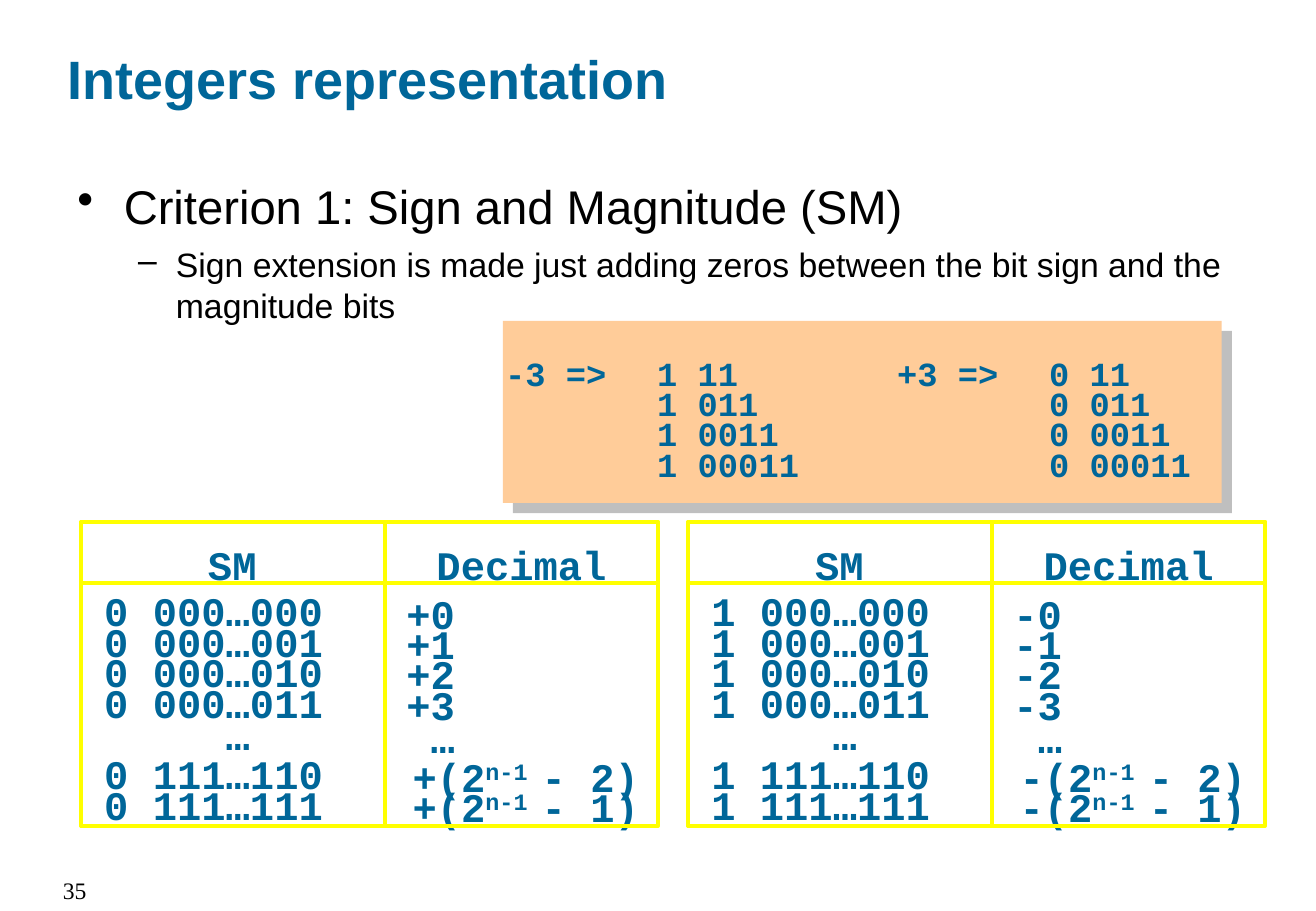
import pptx
import pptx.util
import pptx.dml.color
import pptx.enum.shapes
import pptx.enum.text
import pptx.oxml
from lxml import etree

Cm = pptx.util.Cm
Pt = pptx.util.Pt
RGB = pptx.dml.color.RGBColor
ALIGN = pptx.enum.text.PP_ALIGN
ANCHOR = pptx.enum.text.MSO_ANCHOR
RECT = pptx.enum.shapes.MSO_SHAPE.RECTANGLE

BLUE = RGB(0x00, 0x66, 0x99)
BLACK = RGB(0x00, 0x00, 0x00)
PEACH = RGB(0xFF, 0xCC, 0x99)
YELLOW = RGB(0xFF, 0xFF, 0x00)
GREY = RGB(0x80, 0x80, 0x80)

NS = "http://schemas.openxmlformats.org/drawingml/2006/main"
INSET = {"margin_left": Cm(0.25), "margin_right": Cm(0.25),
         "margin_top": Cm(0.25), "margin_bottom": 0}
TITLE = {"name": "Arial", "size": Pt(32), "bold": True}
HEAD = {"name": "Arial", "size": Pt(28)}
SUB = {"name": "Arial", "size": Pt(20)}
PAGE = {"name": "Times New Roman", "size": Pt(14)}
ROWS = (1.09, 1.73, 2.36, 3.0, 3.68, 4.5, 5.13)
CODES = ("000…000", "000…001", "000…010", "000…011", "…",
         "111…110", "111…111")


def apply(item, values):
    """Set each named value on an object."""
    for name, value in values.items():
        setattr(item, name, value)


def shade(parent, dist, alpha):
    """Add a grey shadow to an effect list."""
    parent.append(pptx.oxml.parse_xml(
        f'<a:outerShdw xmlns:a="{NS}" dist="{dist}" dir="2700000" '
        f'algn="ctr" rotWithShape="0"><a:srgbClr val="{GREY}">'
        f'<a:alpha val="{alpha}"/></a:srgbClr></a:outerShdw>'))


def write(para, text, style, color):
    """Add one styled run to a paragraph."""
    run = para.add_run()
    run.text = text
    apply(run.font, style)
    run.font.color.rgb = color
    return run


def frame(slide, box, wrap=True, anchor=ANCHOR.TOP):
    """Add an empty text box and return its text frame."""
    body = slide.shapes.add_textbox(*map(Cm, box)).text_frame
    apply(body, INSET)
    apply(body, {"word_wrap": wrap, "vertical_anchor": anchor})
    return body


def code(slide, left, top, parts, size=24, width=None):
    """Place shadowed code, raising every second part."""
    span = width or len("".join(parts)) * size * 0.0212 + 0.51
    high = 1.27 if size == 24 else 1.12
    body = frame(slide, (left, top, span, high), bool(width), ANCHOR.MIDDLE)
    para = body.paragraphs[0]
    para.alignment = ALIGN.CENTER if width else ALIGN.LEFT
    style = {"name": "Courier New", "size": Pt(size), "bold": True}
    for order, text in enumerate(parts):
        run = write(para, text, style, BLUE)
        props = run._r.get_or_add_rPr()
        if order % 2:
            props.set("baseline", "30000")
        effect = etree.Element(f"{{{NS}}}effectLst")
        shade(effect, 17961, 100000)
        props.find(f"{{{NS}}}solidFill").addnext(effect)


def rect(slide, box):
    """Add a bare rectangle without a shadow."""
    shape = slide.shapes.add_shape(RECT, *map(Cm, box))
    shape.shadow.inherit = False
    shape.fill.background()
    shape.line.fill.background()
    return shape


def title(slide, box):
    """Place the slide title."""
    body = frame(slide, box, anchor=ANCHOR.BOTTOM)
    write(body.paragraphs[0], "Integers representation", TITLE, BLUE)


def points(slide, box):
    """Place the two bulleted lines."""
    body = frame(slide, box)
    lines = (
        ("•", 0.97, 0.97, HEAD, 0, "Criterion 1: Sign and Magnitude (SM)"),
        ("–", 2.06, 0.79, SUB, 6, "Sign extension is made just adding zeros "
         "between the bit sign and the magnitude bits"),
    )
    for level, (mark, left, hang, style, gap, text) in enumerate(lines):
        para = body.add_paragraph() if level else body.paragraphs[0]
        apply(para, {"level": level, "space_before": Pt(gap)})
        props = para._p.get_or_add_pPr()
        props.set("marL", str(Cm(left)))
        props.set("indent", str(-Cm(hang)))
        etree.SubElement(props, f"{{{NS}}}buChar", char=mark)
        write(para, text, style, BLACK)


def sample(slide, box):
    """Place the shadowed panel of sign extension samples."""
    panel = rect(slide, box)
    panel.fill.solid()
    panel.fill.fore_color.rgb = PEACH
    shade(panel._element.spPr.find(f"{{{NS}}}effectLst"), 107950, 50000)
    left, top = box[0] - 0.2, box[1] + 0.41
    for col, (label, sign) in enumerate((("-3 =>", "1"), ("+3 =>", "0"))):
        start = left + col * 8.2
        code(slide, start, top, [label], 20)
        for row in range(4):
            bits = f"{sign} {'0' * row}11"
            code(slide, start + 3.18, top + row * 0.63, [bits], 20)


def chart(slide, box, bit, sign):
    """Place one framed list of codes and their decimal values."""
    left, top, width, height = box
    split, head = 6.35, 1.27
    code(slide, left + 0.2, top + 0.13, ["SM"], width=5.92)
    code(slide, left + split, top + 0.13, ["Decimal"], width=width - split)
    for row, (drop, bits) in enumerate(zip(ROWS, CODES)):
        near, far = left + 0.23, left + 6.55
        text, value = f"{bit} {bits}", [f"{sign}{row}"]
        if row == 4:
            near, far = near + 2.54, far + 0.51
            text, value = bits, [bits]
        elif row > 4:
            far += 0.13
            value = [f"{sign}(2", "n-1 ", f"- {7 - row})"]
        code(slide, near, top + drop, [text])
        code(slide, far, top + drop + 0.05, value)
    for wide, high in ((width, height), (width, head), (split, height)):
        edge = rect(slide, (left, top, wide, high))
        edge.line.color.rgb = YELLOW
        edge.line.width = Pt(2.25)


def number(slide, box):
    """Place the page number."""
    para = frame(slide, box).paragraphs[0]
    para.alignment = ALIGN.RIGHT
    write(para, "35", PAGE, BLACK)


def main():
    """Build and save the slide."""
    deck = pptx.Presentation()
    apply(deck, {"slide_width": Cm(27.53), "slide_height": Cm(19.05)})
    slide = deck.slides.add_slide(deck.slide_layouts[6])
    number(slide, (0, 18.06, 2.06, 0.99))
    title(slide, (1.17, 0.71, 23.01, 1.6))
    points(slide, (1.37, 3.45, 25.5, 4.37))
    for col, (bit, sign) in enumerate((("0", "+"), ("1", "-"))):
        chart(slide, (1.7 + col * 12.7, 10.92, 12.07, 6.35), bit, sign)
    sample(slide, (10.52, 6.71, 15.04, 3.81))
    deck.save("out.pptx")


if __name__ == "__main__":
    main()
